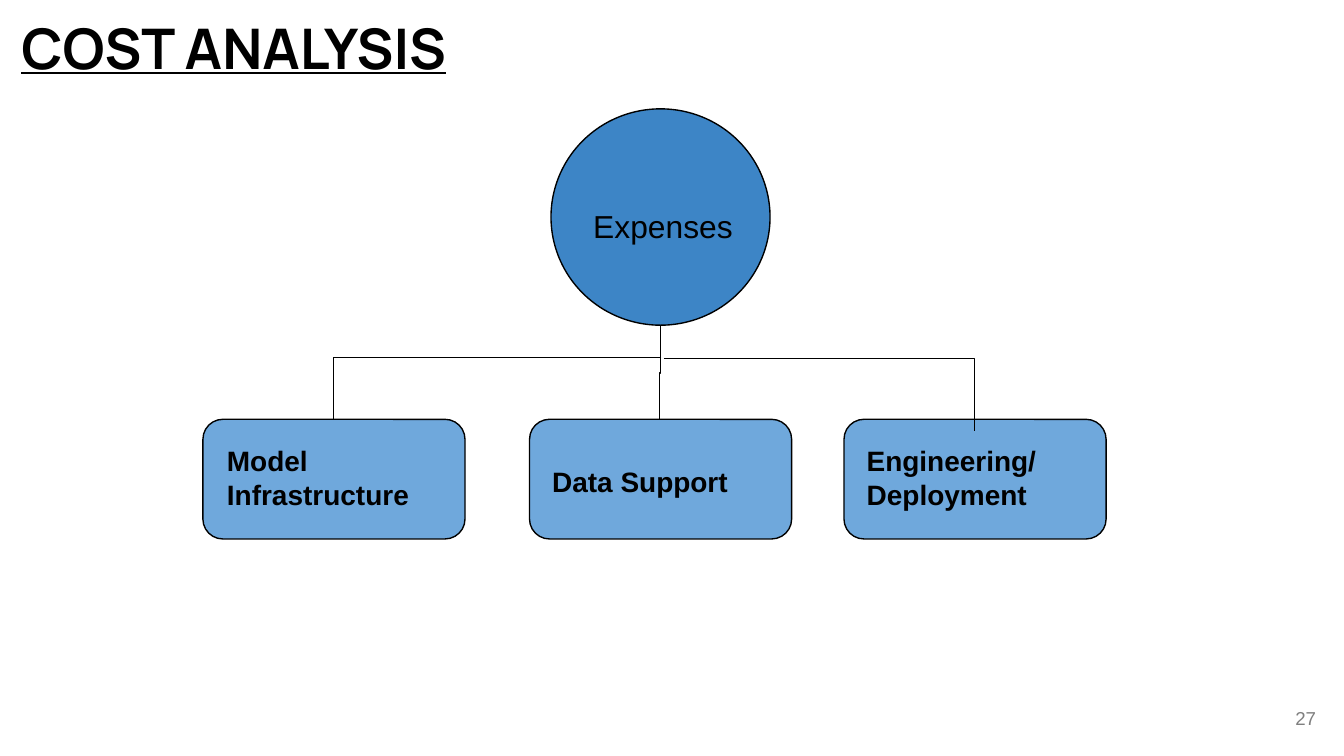
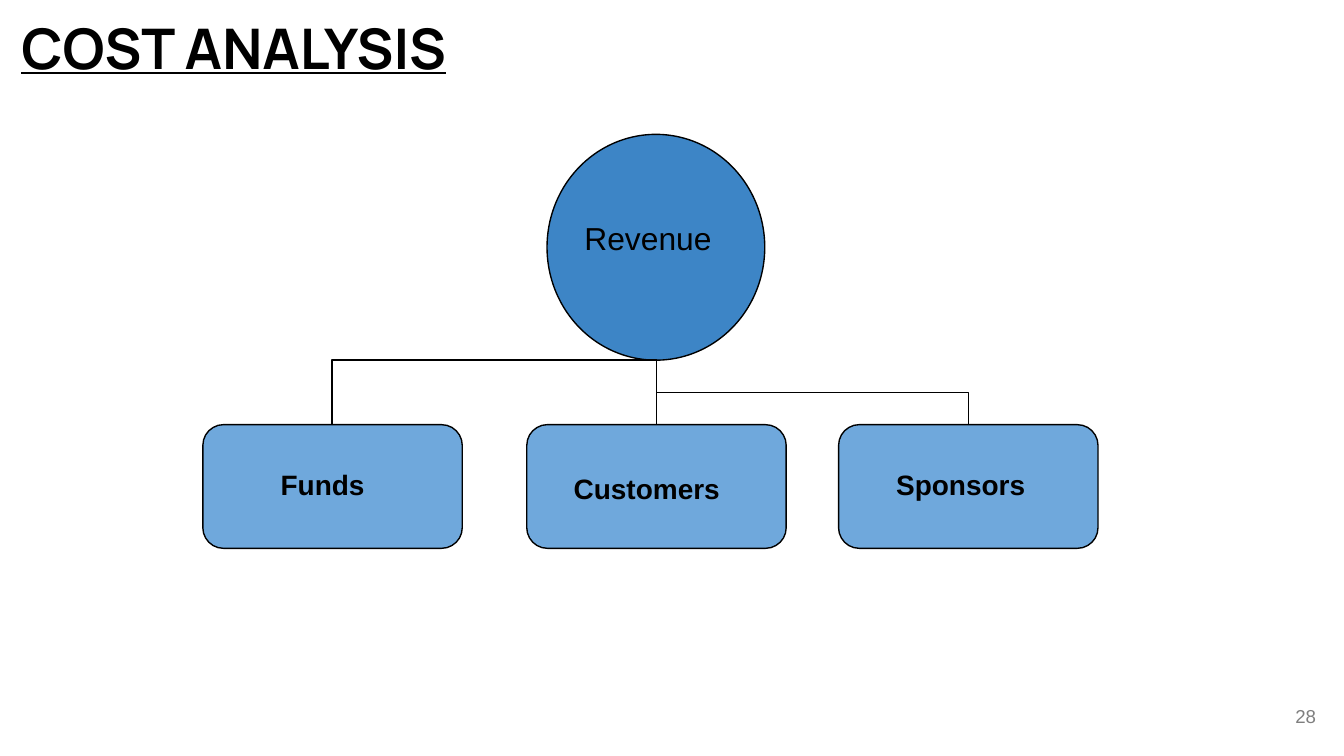
import dataclasses

import pptx
import pptx.dml.color
import pptx.enum.shapes
import pptx.enum.text
import pptx.oxml
import pptx.oxml.ns
import pptx.util
from pptx.util import Inches

SHAPE = pptx.enum.shapes.MSO_SHAPE
ALIGN = pptx.enum.text.PP_ALIGN
ANCHOR = pptx.enum.text.MSO_ANCHOR
RGB = pptx.dml.color.RGBColor.from_string


@dataclasses.dataclass(frozen=True)
class Theme:
    ink: str = "000000"
    muted: str = "7F7F7F"
    circle: str = "3D85C6"
    box: str = "6FA8DC"
    title_font: str = "Manrope"
    body_font: str = "Arial"
    title_size: float = 30
    circle_size: float = 17
    box_size: float = 15
    number_size: float = 10
    line_width: float = 0.75


theme = Theme()


def add_text(s, at, lines, size, font=theme.body_font, color=theme.ink,
             bold=False, underline=False, align=ALIGN.LEFT, anchor=ANCHOR.TOP):
    """Add a text box with one paragraph for each line."""
    tf = s.shapes.add_textbox(*map(Inches, at)).text_frame
    tf.word_wrap = True
    tf.vertical_anchor = anchor
    tf.margin_left = tf.margin_right = tf.margin_top = tf.margin_bottom = Inches(0.1)
    for i, line in enumerate(lines):
        p = tf.add_paragraph() if i else tf.paragraphs[0]
        p.alignment = align
        r = p.add_run()
        r.text = line
        r.font.name = font
        r.font.size = pptx.util.Pt(size)
        r.font.color.rgb = RGB(color)
        r.font.bold = bold
        r.font.underline = underline


def style_outline(line):
    line.color.rgb = RGB(theme.ink)
    line.width = pptx.util.Pt(theme.line_width)


# Boxes: left edge, label frame, label lines.
# Elbows: unrotated frame, preset, rotation in degrees, flipped horizontally.
slides = [
    dict(
        number="27", number_at=(9.29, 5.13, 0.6, 0.43),
        circle_at=(4.1, 0.81, 1.63, 1.61),
        circle_label=" Expenses", circle_label_at=(4.25, 1.44, 1.32, 0.61),
        box_top=3.12, box_size=(1.95, 0.89),
        boxes=[
            (1.51, (1.59, 3.2, 1.79, 0.72), ["Model Infrastructure"]),
            (3.94, (4.01, 3.36, 1.7, 0.42), ["Data Support"]),
            (6.28, (6.35, 3.2, 1.79, 0.72), ["Engineering/", "Deployment"]),
        ],
        elbows=[
            ((2.48, 2.66, 2.44, 0.46), "bentConnector2", 0, True),
            ((4.56, 2.77, 0.7, 0.01), "bentConnector3", 90, False),
            ((4.94, 2.67, 2.31, 0.54), "bentConnector2", 0, False),
        ],
    ),
    dict(
        number="28", number_at=(9.28, 5.11, 0.61, 0.44),
        circle_at=(4.07, 1, 1.62, 1.68),
        circle_label="Revenue", circle_label_at=(4.25, 1.53, 1.27, 0.69),
        box_top=3.16, box_size=(1.93, 0.92),
        boxes=[
            (1.51, (1.99, 3.38, 0.97, 0.49), ["Funds"]),
            (3.92, (4.17, 3.41, 1.4, 0.44), ["Customers"]),
            (6.24, (6.57, 3.38, 1.27, 0.49), ["Sponsors"]),
        ],
        elbows=[
            ((2.47, 2.68, 2.42, 0.48), "bentConnector2", 0, True),
            ((4.64, 2.92, 0.49, 0), "bentConnector3", 270, True),
            ((5.8, 1.76, 0.49, 2.32), "bentConnector3", 270, True),
        ],
    ),
]

prs = pptx.Presentation()
prs.slide_width = Inches(10)
prs.slide_height = Inches(10 * 9 / 16)

for diagram in slides:
    s = prs.slides.add_slide(prs.slide_layouts[6])
    add_text(s, (0.06, 0, 9.32, 0.59), ["COST ANALYSIS"], theme.title_size,
             font=theme.title_font, bold=True, underline=True)

    nodes = [(SHAPE.OVAL, diagram["circle_at"], theme.circle,
              diagram["circle_label_at"], [diagram["circle_label"]],
              theme.circle_size, False)]
    for left, label_at, lines in diagram["boxes"]:
        nodes.append((SHAPE.ROUNDED_RECTANGLE,
                      (left, diagram["box_top"], *diagram["box_size"]),
                      theme.box, label_at, lines, theme.box_size, True))

    for kind, at, fill, label_at, lines, size, bold in nodes:
        sp = s.shapes.add_shape(kind, *map(Inches, at))
        sp.shadow.inherit = False
        sp.fill.solid()
        sp.fill.fore_color.rgb = RGB(fill)
        style_outline(sp.line)
        add_text(s, label_at, lines, size, bold=bold)

    for (x, y, w, h), preset, rotation, flipped in diagram["elbows"]:
        start, end = (x + w, x) if flipped else (x, x + w)
        cxn = s.shapes.add_connector(pptx.enum.shapes.MSO_CONNECTOR.ELBOW,
                                     Inches(start), Inches(y), Inches(end), Inches(y + h))
        style_outline(cxn.line)
        props = cxn._element.spPr
        props.find(pptx.oxml.ns.qn("a:xfrm")).set("rot", str(rotation * 60000))
        props.find(pptx.oxml.ns.qn("a:prstGeom")).set("prst", preset)
        props.append(pptx.oxml.parse_xml(
            f"<a:effectLst {pptx.oxml.ns.nsdecls('a')}/>"))

    add_text(s, diagram["number_at"], [diagram["number"]], theme.number_size,
             color=theme.muted, align=ALIGN.RIGHT, anchor=ANCHOR.MIDDLE)

prs.save("out.pptx")
